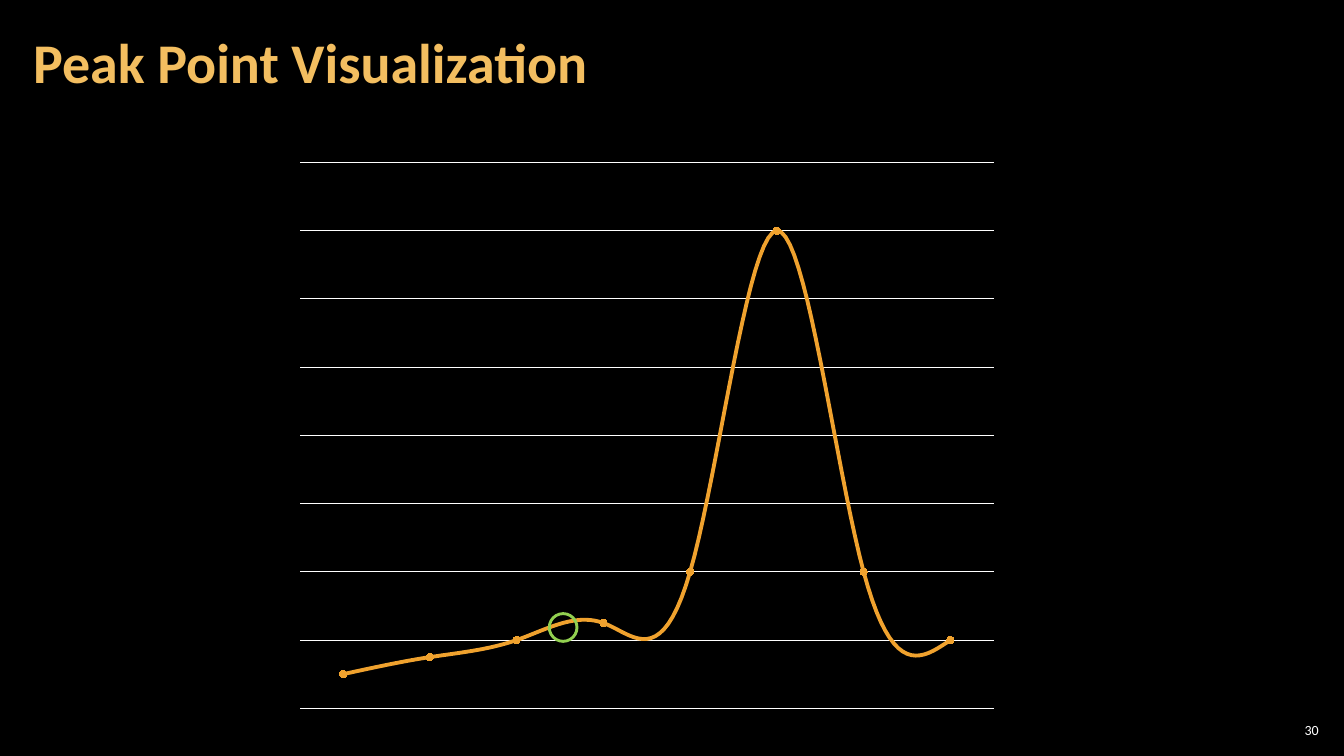
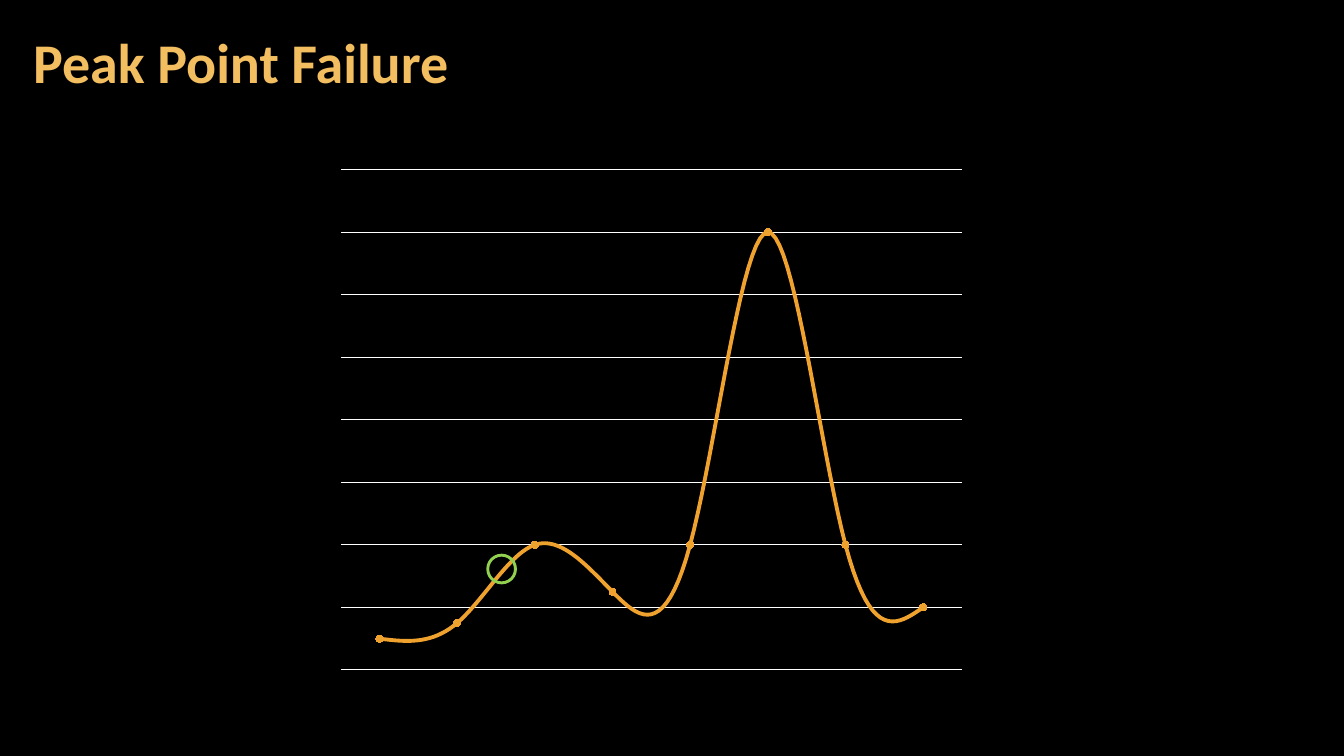
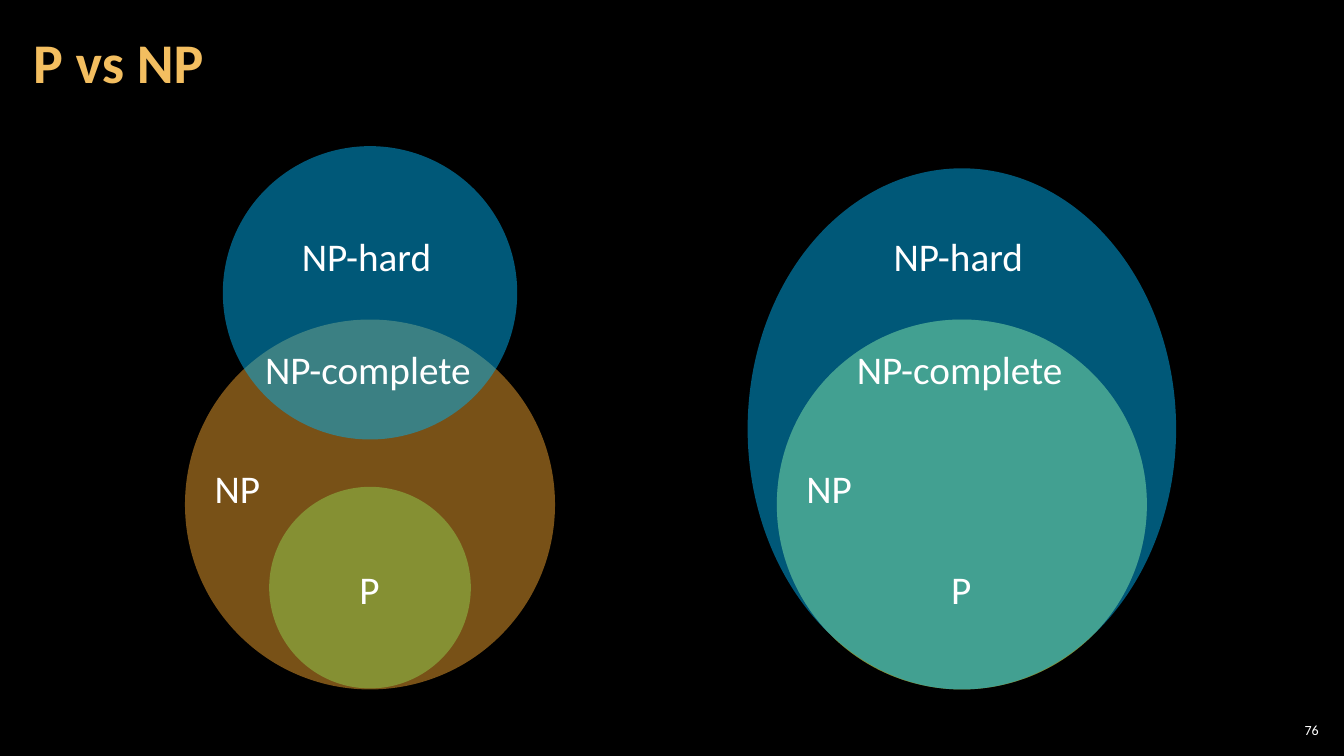
from lxml import etree
from pptx import Presentation
from pptx.chart.data import CategoryChartData
from pptx.dml.color import RGBColor
from pptx.enum.chart import XL_CHART_TYPE, XL_MARKER_STYLE
from pptx.enum.shapes import MSO_SHAPE
from pptx.enum.text import MSO_ANCHOR, MSO_AUTO_SIZE, PP_ALIGN
from pptx.oxml.ns import qn
from pptx.util import Inches, Pt

WIDTH, HEIGHT = 13.33, 7.5
FONT = "Calibri"
BLACK, WHITE, GOLD = "000000", "FFFFFF", "F3BE60"
ORANGE, GREEN, BLUE = "F0A22E", "92D050", "00B0F0"

TITLE_BOX = (0.21, 0.04, 10.47, 1.21)
NUMBER_BOX = (12.65, 7.14, 0.47, 0.21)
TITLE_FORMAT = {"size": Pt(40), "bold": True}
NUMBER_FORMAT = {"size": Pt(10)}
LABEL_FORMAT = {"size": Pt(28)}

RING_SIZE = 0.29
AXIS_FORMAT = {"minimum_scale": 0, "maximum_scale": 32, "major_unit": 4,
               "has_major_gridlines": True, "visible": False}

PEAK_SLIDES = [
    {"title": "Peak Point Visualization", "number": "30",
     "values": (2, 3, 4, 5, 8, 28, 8, 4),
     "chart": (2.83, 1.5, 7.17, 5.64), "ring": (5.44, 6.08)},
    {"title": "Peak Point Failure", "number": None,
     "values": (2, 3, 8, 5, 8, 28, 8, 4),
     "chart": (3.25, 1.58, 6.42, 5.17), "ring": (4.83, 5.5)},
]

# Each Venn diagram: centre line, then ellipses as (top, width, height, colour)
VENN_DIAGRAMS = [
    (3.67, [(3.17, 3.67, 3.67, ORANGE), (4.83, 2, 2, GREEN),
            (1.45, 2.92, 2.91, BLUE)]),
    (9.54, [(3.17, 3.67, 3.67, ORANGE), (3.17, 3.67, 3.67, GREEN),
            (1.67, 4.25, 5.17, BLUE)]),
]
# Label, distance of its middle from the centre line, top, width
VENN_LABELS = [("P", 0, 5.56, 0.41), ("NP", -1.31, 4.56, 0.66),
               ("NP-complete", 0, 3.38, 2.28), ("NP-hard", 0, 2.26, 1.55)]
LABEL_HEIGHT = 0.57


def color(hex_string):
    return RGBColor.from_string(hex_string)


def apply(target, values):
    for name, value in values.items():
        setattr(target, name, value)


def inches(box):
    return [Inches(length) for length in box]


def add_text(slide, text, box, font_format, text_color=WHITE, frame_format=None,
             paragraph_format=None):
    frame = slide.shapes.add_textbox(*inches(box)).text_frame
    apply(frame, frame_format or {})
    paragraph = frame.paragraphs[0]
    apply(paragraph, paragraph_format or {})
    run = paragraph.add_run()
    run.text = text
    apply(run.font, {"name": FONT, **font_format})
    run.font.color.rgb = color(text_color)


def add_filled_shape(slide, kind, box, fill):
    shape = slide.shapes.add_shape(kind, *inches(box))
    shape.shadow.inherit = False
    shape.fill.solid()
    shape.fill.fore_color.rgb = color(fill)
    return shape


def add_titled_slide(presentation, title, number):
    slide = presentation.slides.add_slide(presentation.slide_layouts[6])
    side, edge = Inches(0.12), Inches(0.04)
    add_text(slide, title, TITLE_BOX, TITLE_FORMAT, GOLD,
             {"word_wrap": True, "vertical_anchor": MSO_ANCHOR.MIDDLE,
              "margin_left": side, "margin_right": side,
              "margin_top": edge, "margin_bottom": edge},
             {"line_spacing": 0.9})
    if number:
        add_text(slide, number, NUMBER_BOX, NUMBER_FORMAT, WHITE,
                 {"word_wrap": True, "vertical_anchor": MSO_ANCHOR.MIDDLE,
                  "margin_left": edge, "margin_right": edge,
                  "margin_top": edge, "margin_bottom": edge},
                 {"alignment": PP_ALIGN.RIGHT})
    return slide


def add_peak_chart(slide, values, box):
    data = CategoryChartData()
    data.categories = [str(index + 1) for index in range(len(values))]
    data.add_series("Series 1", values)
    chart = slide.shapes.add_chart(
        XL_CHART_TYPE.LINE_MARKERS, *inches(box), data).chart
    apply(chart, {"has_legend": False, "has_title": False})
    apply(chart.font, {"name": FONT, "size": Pt(10)})
    chart.font.color.rgb = color(WHITE)
    chart.category_axis.visible = False
    apply(chart.value_axis, AXIS_FORMAT)
    gridline = chart.value_axis.major_gridlines.format.line
    gridline.color.rgb = color(WHITE)
    gridline.width = Pt(0.75)

    chart.plots[0].vary_by_categories = False
    series = chart.plots[0].series[0]
    series.smooth = True
    series.format.line.color.rgb = color(ORANGE)
    series.format.line.width = Pt(2.75)
    apply(series.marker, {"style": XL_MARKER_STYLE.CIRCLE, "size": 5})
    series.marker.format.fill.solid()
    series.marker.format.fill.fore_color.rgb = color(ORANGE)
    series.marker.format.line.fill.background()


def add_ring(slide, left, top):
    ring = add_filled_shape(slide, MSO_SHAPE.DONUT,
                            (left, top, RING_SIZE, RING_SIZE), GREEN)
    ring.adjustments[0] = 0.052
    ring.line.color.rgb = color(GREEN)
    ring.line.width = Pt(1)


def add_venn(slide, center, ellipses):
    for top, width, height, fill in ellipses:
        ellipse = add_filled_shape(
            slide, MSO_SHAPE.OVAL,
            (center - width / 2, top, width, height), fill)
        ellipse.line.fill.background()
        fill_color = ellipse.fill._xPr.find(qn("a:solidFill"))[0]
        etree.SubElement(fill_color, qn("a:alpha"), val="50000")
    for text, offset, top, width in VENN_LABELS:
        add_text(slide, text,
                 (center + offset - width / 2, top, width, LABEL_HEIGHT),
                 LABEL_FORMAT, WHITE,
                 {"word_wrap": False,
                  "auto_size": MSO_AUTO_SIZE.SHAPE_TO_FIT_TEXT})


def main():
    presentation = Presentation()
    apply(presentation, {"slide_width": Inches(WIDTH),
                         "slide_height": Inches(HEIGHT)})
    background = presentation.slide_master.background.fill
    background.solid()
    background.fore_color.rgb = color(BLACK)

    for peak in PEAK_SLIDES:
        slide = add_titled_slide(presentation, peak["title"], peak["number"])
        add_peak_chart(slide, peak["values"], peak["chart"])
        add_ring(slide, *peak["ring"])

    slide = add_titled_slide(presentation, "P vs NP", "76")
    for center, ellipses in VENN_DIAGRAMS:
        add_venn(slide, center, ellipses)

    presentation.save("out.pptx")


if __name__ == "__main__":
    main()
